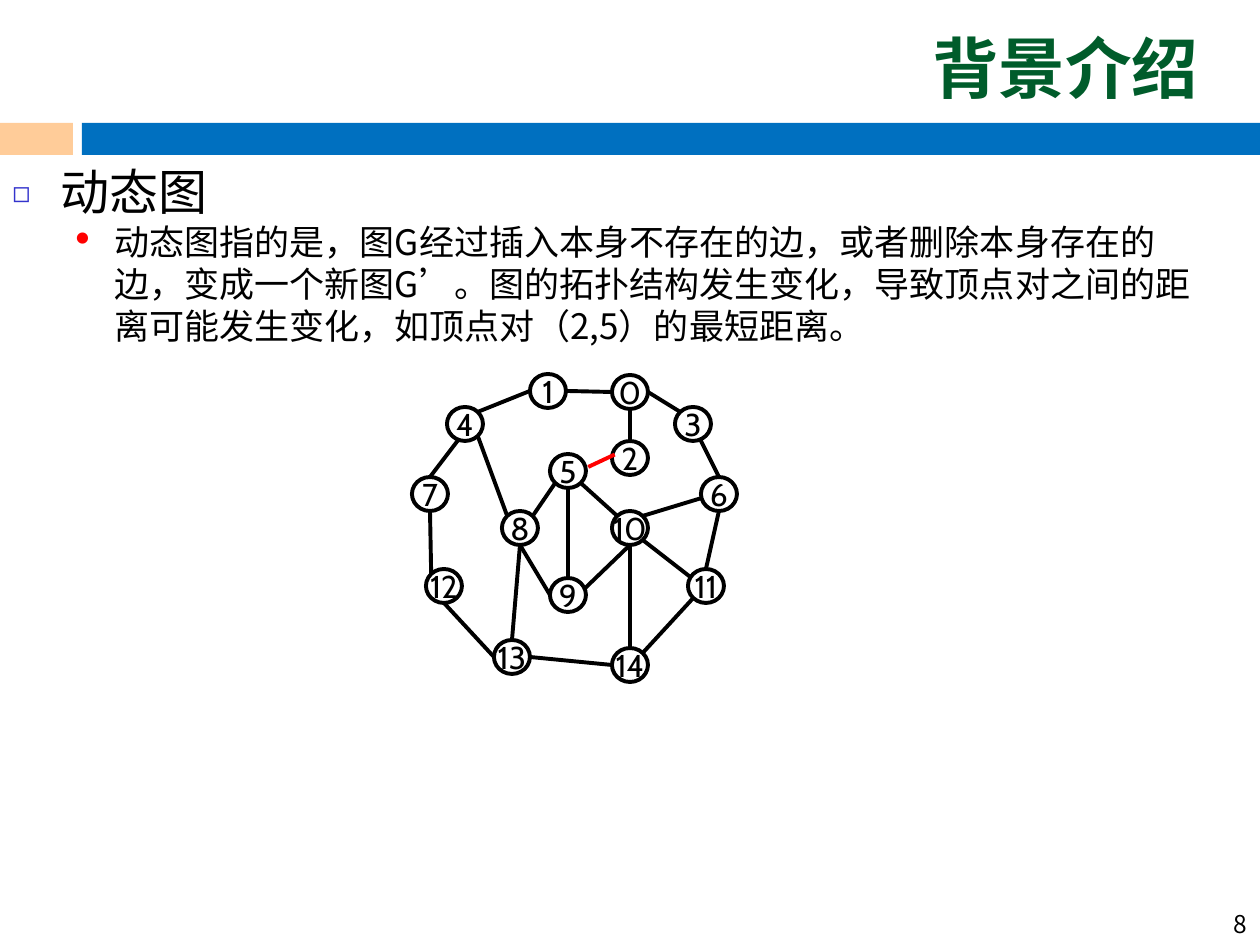
from lxml.etree import SubElement
from pptx import Presentation
from pptx.dml.color import RGBColor
from pptx.enum.shapes import MSO_CONNECTOR, MSO_SHAPE
from pptx.enum.text import MSO_ANCHOR, PP_ALIGN
from pptx.oxml import parse_xml
from pptx.oxml.ns import nsdecls, qn
from pptx.util import Pt

PX = 914400 // 126
COLORS = {"title": "005C2B", "bar": "0070C0", "accent": "FFCC99", "text": "000000",
          "square": "3333CC", "red": "FF0000", "white": "FFFFFF"}
CJK, LATIN = "Noto Sans CJK SC", "Cabin"
NODE_W, NODE_H = 36, 34
SITES = {"N": (0, -1), "NE": (0.71, -0.71), "E": (1, 0), "SE": (0.71, 0.71),
         "S": (0, 1), "SW": (-0.71, 0.71), "W": (-1, 0), "NW": (-0.71, -0.71),
         "SSE": (0.42, 0.95), "SSW": (-0.38, 0.95), "WSW": (-0.97, 0.24),
         "ENE": (0.95, -0.4), "WNW": (-0.87, -0.53),
         "outside E": (1.13, -0.24), "inside W": (-0.85, -0.2)}
NODES = {1: (548, 391), 7: (430, 494), 5: (568, 471), 12: (444, 586), 6: (719, 494),
         2: (630, 458), 3: (693, 424), 4: (465, 424), 9: (568, 595), 10: (630, 528),
         8: (520, 528), 11: (706, 586), 13: (512, 657), 14: (630, 665), 0: (630, 392)}
EDGES = [(1, "E", 0, "W"), (0, "E", 3, "NW"), (3, "SSE", 6, "N"), (6, "S", 11, "N"),
         (14, "NE", 11, "SW"), (0, "S", 2, "N"), (4, "NE", 1, "W"), (7, "N", 4, "SSW"),
         (8, "NE", 5, "SW"), (10, "NE", 6, "WSW"), (5, "SE", 10, "NW"), (9, "ENE", 10, "S"),
         (9, "N", 5, "S"), (8, "S", 9, "W"), (13, "E", 14, "W"), (12, "S", 13, "W"),
         (7, "S", 12, "NW"), (14, "N", 10, "S"), (8, "S", 13, "N"), (4, "SE", 8, "NW"),
         (10, "SE", 11, "WNW")]
CHANGED_EDGE = (5, "outside E", 2, "inside W")


class SlideBuilder:
    """Draws styled elements on one slide, with lengths in px."""

    def __init__(self, slide):
        self.s = slide

    def color(self, name):
        return RGBColor.from_string(COLORS[name])

    def place(self, sp, x, y, w, h):
        sp.left, sp.top, sp.width, sp.height = (round(v * PX) for v in (x, y, w, h))

    def format(self, p, size, color="text", font=CJK, align=PP_ALIGN.LEFT, bold=False):
        p.alignment = align
        p.font.size, p.font.name, p.font.bold = Pt(size), font, bold
        p.font.color.rgb = self.color(color)
        rpr = p._p.get_or_add_pPr().get_or_add_defRPr()
        SubElement(rpr, qn("a:ea")).set("typeface", font)

    def shape(self, kind, x, y, w, h, fill):
        sp = self.s.shapes.add_shape(kind, 0, 0, 0, 0)
        self.place(sp, x, y, w, h)
        sp.shadow.inherit = False
        sp.fill.solid()
        sp.fill.fore_color.rgb = self.color(fill)
        sp.line.fill.background()
        return sp

    def title(self, text, *box):
        sp = self.s.shapes.title
        self.place(sp, *box)
        tf = sp.text_frame
        tf.text = text
        tf.vertical_anchor = MSO_ANCHOR.BOTTOM
        self.format(tf.paragraphs[0], 38, "title", align=PP_ALIGN.RIGHT, bold=True)

    def text_box(self, *box, anchor=MSO_ANCHOR.TOP):
        sp = self.s.shapes.add_textbox(0, 0, 0, 0)
        self.place(sp, *box)
        tf = sp.text_frame
        tf.word_wrap = True
        tf.vertical_anchor = anchor
        return tf

    def bullet(self, p, text, size, char, font, color, percent, margin, hang, level=0):
        p.text, p.level = text, level
        self.format(p, size)
        ppr = p._p.get_or_add_pPr()
        ppr.set("marL", str(margin * PX))
        ppr.set("indent", str(-hang * PX))
        ppr.set("hangingPunct", "0")
        ns = nsdecls("a")
        for xml in (f'<a:buClr {ns}><a:srgbClr val="{COLORS[color]}"/></a:buClr>',
                    f'<a:buSzPct {ns} val="{percent * 1000}"/>',
                    f'<a:buFont {ns} typeface="{font}"/>',
                    f'<a:buChar {ns} char="{char}"/>'):
            ppr.get_or_add_defRPr().addprevious(parse_xml(xml))

    def node(self, number, cx, cy):
        sp = self.shape(MSO_SHAPE.OVAL, cx - NODE_W / 2, cy - NODE_H / 2, NODE_W, NODE_H, "white")
        sp.line.color.rgb = self.color("text")
        sp.line.width = Pt(2.25)
        tf = sp.text_frame
        tf.text = str(number)
        tf.word_wrap = False
        tf.vertical_anchor = MSO_ANCHOR.MIDDLE
        self.format(tf.paragraphs[0], 18, font=LATIN, align=PP_ALIGN.CENTER)

    def edge(self, start, start_site, end, end_site, color="text"):
        ends = []
        for number, site in ((start, start_site), (end, end_site)):
            (cx, cy), (dx, dy) = NODES[number], SITES[site]
            ends += [round((cx + dx * NODE_W / 2) * PX), round((cy + dy * NODE_H / 2) * PX)]
        line = self.s.shapes.add_connector(MSO_CONNECTOR.STRAIGHT, *ends)
        line.line.color.rgb = self.color(color)
        line.line.width = Pt(2.25)
        SubElement(line._element.spPr, qn("a:effectLst"))


def main():
    prs = Presentation()
    prs.slide_width, prs.slide_height = 1260 * PX, 945 * PX
    b = SlideBuilder(prs.slides.add_slide(prs.slide_layouts[5]))
    b.shape(MSO_SHAPE.RECTANGLE, 82, 123, 1178, 32, "bar")
    b.shape(MSO_SHAPE.RECTANGLE, 0, 123, 73, 32, "accent")
    b.title("背景介绍", 174, 40, 1037, 73)
    tf = b.text_box(998, 882, 262, 63, anchor=MSO_ANCHOR.BOTTOM)
    tf.text = "8"
    b.format(tf.paragraphs[0], 14, align=PP_ALIGN.RIGHT)
    tf = b.text_box(0, 155, 1228, 341)
    b.bullet(tf.paragraphs[0], "动态图", 28, "◻", CJK, "square", 60, 48, 48)
    b.bullet(tf.add_paragraph(),
             "动态图指的是，图G经过插入本身不存在的边，或者删除本身存在的边，变成一个新图G’。"
             "图的拓扑结构发生变化，导致顶点对之间的距离可能发生变化，如顶点对（2,5）的最短距离。",
             20, "l", "Wingdings", "red", 55, 102, 39, level=1)
    for number, center in NODES.items():
        b.node(number, *center)
    for edge in EDGES:
        b.edge(*edge)
    b.edge(*CHANGED_EDGE, color="red")
    prs.save("out.pptx")


if __name__ == "__main__":
    main()
